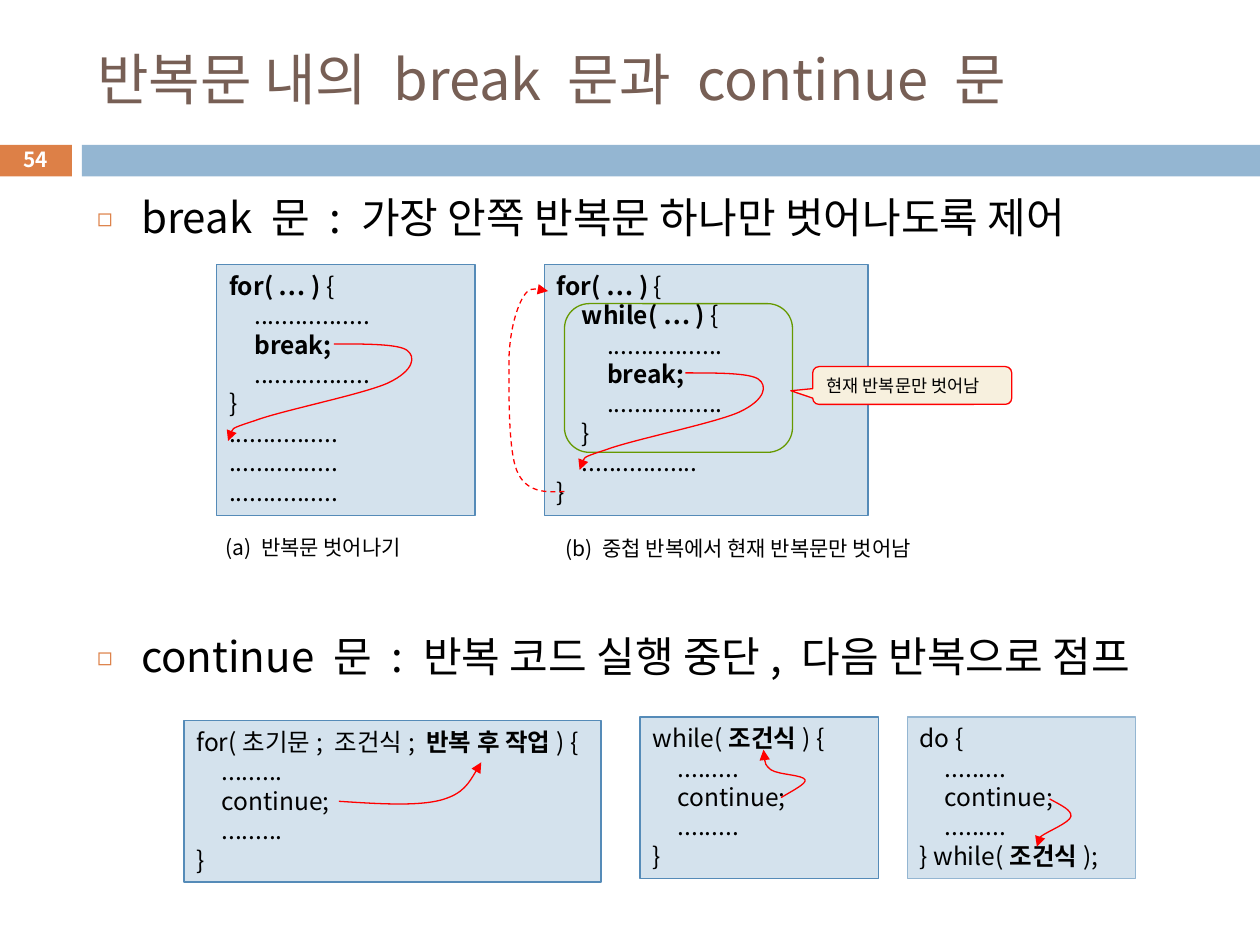
from dataclasses import dataclass

from lxml import etree
from pptx import Presentation
from pptx.dml.color import RGBColor
from pptx.enum.dml import MSO_LINE
from pptx.enum.shapes import MSO_SHAPE
from pptx.enum.text import MSO_ANCHOR, MSO_AUTO_SIZE, PP_ALIGN
from pptx.oxml.ns import qn
from pptx.util import Inches, Pt

RECT, ROUND = MSO_SHAPE.RECTANGLE, MSO_SHAPE.ROUNDED_RECTANGLE
CALLOUT = MSO_SHAPE.ROUNDED_RECTANGULAR_CALLOUT
LEFT, CENTER = PP_ALIGN.LEFT, PP_ALIGN.CENTER
TOP, MIDDLE = MSO_ANCHOR.TOP, MSO_ANCHOR.MIDDLE
FIXED, DASH = MSO_AUTO_SIZE.NONE, MSO_LINE.DASH

COLS, ROWS = 100, 75
CELL = Inches(0.1)
STEPS = 16  # samples per curve piece when measuring


@dataclass(frozen=True)
class Theme:
    font: str = "Noto Sans CJK KR"
    ink: str = "000000"
    head: str = "775F55"
    white: str = "FFFFFF"
    accent: str = "DD8047"
    band: str = "94B6D2"
    panel: str = "D4E2ED"
    edge: str = "558BB8"
    red: str = "FF0000"
    green: str = "669900"
    cream: str = "F7F0DE"
    title: int = 32
    body: int = 24
    code: int = 14
    label: int = 12
    note: int = 10
    page: float = 11.9
    rule: float = 0.75
    lead: float = 1.2


T = Theme()


@dataclass(frozen=True)
class Box:
    """A place on the grid, in columns and rows."""
    col: float
    row: float
    wide: float
    high: float

    def size(self) -> list[int]:
        return [round(v * CELL) for v in (self.col, self.row, self.wide, self.high)]


@dataclass(frozen=True)
class Code:
    """A code panel; words between asterisks are bold."""
    box: Box
    lines: tuple[str, ...]
    edge: str = T.edge


@dataclass(frozen=True)
class Curve:
    """A start point and three points for each Bezier piece that follows."""
    points: tuple[tuple[float, float], ...]
    dash: bool = False
    shift: tuple[float, float] = (0, 0)


def rgb(value: str) -> RGBColor:
    return RGBColor.from_string(value)


def apply(item, form: dict) -> None:
    for key, value in form.items():
        setattr(item, key, value)


def write(frame, lines, size: float, color: str = T.ink, bold: bool = False,
          align=LEFT, anchor=TOP) -> None:
    apply(frame, dict(word_wrap=True, auto_size=FIXED, vertical_anchor=anchor))
    for i, line in enumerate(lines):
        para = frame.add_paragraph() if i else frame.paragraphs[0]
        apply(para, dict(alignment=align, line_spacing=Pt(size * T.lead),
                         space_before=Pt(0)))
        for j, part in enumerate(line.split("*")):
            if part:
                run = para.add_run()
                run.text = part
                apply(run.font, dict(name=T.font, size=Pt(size), bold=bold or j % 2 == 1))
                run.font.color.rgb = rgb(color)
                east = etree.SubElement(run.font._element, qn("a:ea"))
                east.set("typeface", T.font)


def set_tabs(frame) -> None:
    for para in frame.paragraphs:
        stops = etree.SubElement(para._p.get_or_add_pPr(), qn("a:tabLst"))
        for n in (1, 2):
            etree.SubElement(stops, qn("a:tab"), pos=str(2 * n * CELL), algn="l")


def set_bullet(para) -> None:
    props = para._p.get_or_add_pPr()
    props.set("marL", str(Inches(0.35)))
    props.set("indent", str(-Inches(0.35)))
    tint = etree.SubElement(props, qn("a:buClr"))
    etree.SubElement(tint, qn("a:srgbClr"), val=T.accent)
    etree.SubElement(props, qn("a:buSzPct"), val="60000")
    etree.SubElement(props, qn("a:buFont"), typeface=T.font)
    etree.SubElement(props, qn("a:buChar"), char="◻")


def shape(slide, kind, box: Box, fill: str = "", edge: str = ""):
    item = slide.shapes.add_shape(kind, *box.size())
    item.shadow.inherit = False
    for part, color in ((item.fill, fill), (item.line.fill, edge)):
        if color:
            part.solid()
            part.fore_color.rgb = rgb(color)
        else:
            part.background()
    if edge:
        item.line.width = Pt(T.rule)
    return item


def label(slide, box: Box, text: str, size: float, **form) -> None:
    write(slide.shapes.add_textbox(*box.size()).text_frame, [text], size, **form)


def panel(slide, code: Code) -> None:
    frame = shape(slide, RECT, code.box, T.panel, code.edge).text_frame
    write(frame, code.lines, T.code)
    set_tabs(frame)


def bend(a, b, c, d, t: float) -> tuple[float, ...]:
    """The point at share t of a cubic Bezier piece."""
    u = 1 - t
    return tuple(u**3 * p + 3 * u * u * t * q + 3 * u * t * t * r + t**3 * s
                 for p, q, r, s in zip(a, b, c, d))


def arrow(slide, curve: Curve) -> None:
    """Span the curve's extent with a freeform, then give it Bezier pieces."""
    pts = [tuple(round((v + d) * CELL) for v, d in zip(p, curve.shift))
           for p in curve.points]
    axes = list(zip(*(bend(*pts[i:i + 4], n / STEPS)
                      for i in range(0, len(pts) - 1, 3) for n in range(STEPS + 1))))
    low, top = ([round(pick(a)) for a in axes] for pick in (min, max))
    pen = slide.shapes.build_freeform(*low, scale=1.0)
    pen.add_line_segments([top], close=False)
    item = pen.convert_to_shape()

    route = next(item._element.iter(qn("a:path")))
    for part in list(route):
        route.remove(part)
    for i, (x, y) in enumerate(pts):
        if i == 0 or i % 3 == 1:
            step = etree.SubElement(route, qn("a:cubicBezTo" if i else "a:moveTo"))
        etree.SubElement(step, qn("a:pt"), x=str(x - low[0]), y=str(y - low[1]))

    item.shadow.inherit = False
    item.fill.background()
    item.line.color.rgb = rgb(T.red)
    item.line.width = Pt(T.rule)
    if curve.dash:
        item.line.dash_style = DASH
    etree.SubElement(item.line._get_or_add_ln(), qn("a:tailEnd"), type="triangle")


DOTS, LONG, MARK = "." * 17, "." * 16, "." * 9
LOOP = (f"\t{MARK}", "\tcontinue;", f"\t{MARK}")
CODES = (
    Code(Box(17.2, 21, 20.5, 19.9),
         ("*for( … ) *{", f"\t{DOTS}", "\t*break;*", f"\t{DOTS}", "}", LONG, LONG, LONG)),
    Code(Box(43.2, 21, 25.7, 19.9),
         ("*for( … ) *{", "\t*while( … ) *{", f"\t\t{DOTS}", "\t\t*break;*",
          f"\t\t{DOTS}", "\t}", f"\t{DOTS}", "}")),
    Code(Box(14.6, 57.2, 33.1, 12.8),
         ("for(초기문; 조건식; *반복 후 작업*) {", *LOOP, "}")),
    Code(Box(50.8, 56.9, 18.9, 12.8), ("while(*조건식*) {", *LOOP, "}")),
    Code(Box(72, 56.9, 18.1, 12.8), ("do {", *LOOP, "} while(*조건식*);"), T.band),
)
LEAVE = ((26.5, 27.3), (29, 27.3), (31.6, 27.3), (32.3, 27.8), (33, 28.3), (32.9, 29.4),
         (30.8, 30.4), (28.8, 31.3), (22.3, 32.6), (20.2, 33.4), (18, 34.1), (18.1, 34.6),
         (18.1, 35))
CURVES = (
    Curve(LEAVE),
    Curve(LEAVE, shift=(27.9, 2.3)),
    Curve(((44.8, 39), (43.3, 39.1), (41.7, 39.1), (41, 37.3), (40.3, 35.5), (40.4, 30.6),
           (40.4, 28.3), (40.5, 26.1), (41, 24.5), (41.5, 23.6), (42, 22.8), (42.8, 22.9),
           (43.5, 23.1)), dash=True),
    Curve(((26.9, 63.6), (30, 63.8), (33.1, 64), (35, 63.5), (36.8, 63), (37.5, 61.7),
           (38.2, 60.5))),
    Curve(((83.3, 63.4), (84.2, 63.9), (85.1, 64.3), (85, 64.8), (84.9, 65.3), (83.1, 66),
           (82.6, 66.4), (82.2, 66.8), (82.3, 67), (82.3, 67.2))),
    Curve(((62, 63.3), (63, 62.7), (64, 62.2), (63.9, 61.9), (63.8, 61.5), (61.8, 61.5),
           (61.2, 61.1), (60.7, 60.7), (60.6, 60.1), (60.6, 59.5))),
)
# Each panel group is drawn as panels, then its arrows.
SIDES = ("left", "top", "width", "height")
HEADS = ("break 문 : 가장 안쪽 반복문 하나만 벗어나도록 제어",
         "continue 문 : 반복 코드 실행 중단, 다음 반복으로 점프")


def main() -> None:
    deck = Presentation()
    apply(deck, dict(slide_width=COLS * CELL, slide_height=ROWS * CELL))
    slide = deck.slides.add_slide(deck.slide_layouts[1])
    shape(slide, RECT, Box(-0.1, 11.5, 5.8, 2.5), T.accent)
    shape(slide, RECT, Box(6.5, 11.5, 93.5, 2.5), T.band)

    title, body = slide.placeholders
    apply(title, dict(zip(SIDES, Box(6.7, 2.5, 89.2, 7.4).size())))
    write(title.text_frame, ["반복문 내의 break 문과 continue 문"], T.title, T.head,
          anchor=MIDDLE)
    apply(body, dict(zip(SIDES, Box(6.7, 14.7, 89.2, 55.1).size())))
    write(body.text_frame, HEADS, T.body)
    for para in body.text_frame.paragraphs:
        set_bullet(para)
    body.text_frame.paragraphs[1].space_before = Pt(222)

    for code in CODES:
        panel(slide, code)
    shape(slide, ROUND, Box(44.8, 24.1, 18.1, 11.8), edge=T.green)
    for curve in CURVES:
        arrow(slide, curve)
    note = shape(slide, CALLOUT, Box(64.5, 29.1, 15.8, 3), T.cream, T.red)
    note.adjustments[0], note.adjustments[1] = -0.61, 0.14
    write(note.text_frame, ["현재 반복문만 벗어남"], T.note, anchor=MIDDLE)

    label(slide, Box(16.9, 41.9, 16.9, 3), "(a) 반복문 벗어나기", T.label)
    label(slide, Box(43.9, 42, 35.1, 3), "(b) 중첩 반복에서 현재 반복문만 벗어남", T.label)
    label(slide, Box(-0.1, 11.3, 5.8, 2.7), "54", T.page, color=T.white, bold=True,
          align=CENTER, anchor=MIDDLE)
    deck.save("out.pptx")


if __name__ == "__main__":
    main()
